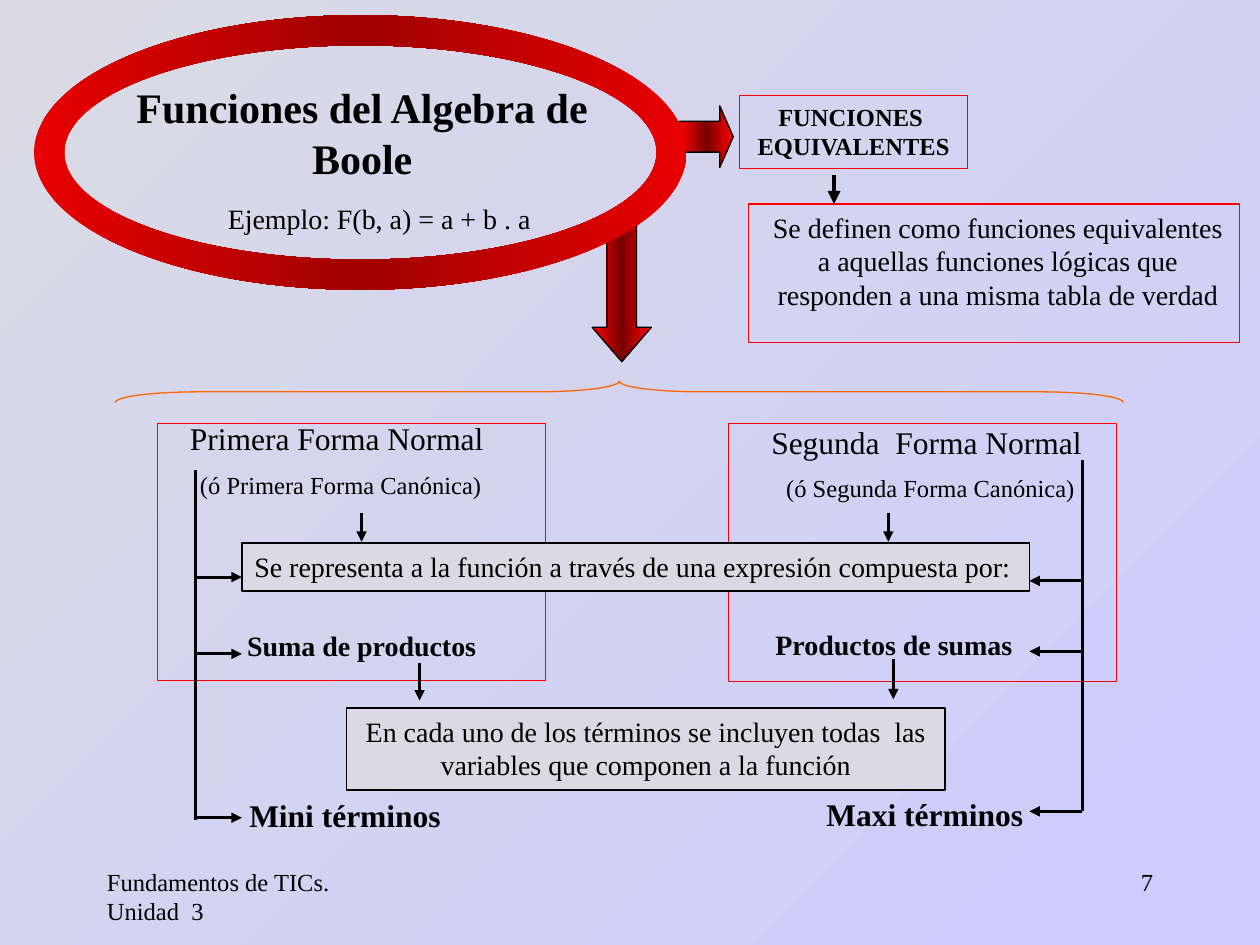
from copy import deepcopy
from pptx import Presentation
from pptx.dml.color import RGBColor
from pptx.enum.shapes import MSO_CONNECTOR, MSO_SHAPE
from pptx.enum.text import MSO_ANCHOR, PP_ALIGN
from pptx.oxml.ns import qn
from pptx.oxml.xmlchemy import OxmlElement
from pptx.util import Inches, Pt

RED, BLACK, GREY, ORANGE = "FF0000", "000000", "DBDAE4", "FF6600"
SHINE = [RED, "760000", RED]


def color(text):
    return RGBColor.from_string(text)


def blend(fill, root, tones, angle):
    fill.gradient()
    fill.gradient_angle = angle
    stops = root.find(".//" + qn("a:gsLst"))
    while len(stops) < len(tones):
        stops.append(deepcopy(stops[0]))
    for i, (stop, tone) in enumerate(zip(fill.gradient_stops, tones)):
        stop.color.rgb = color(tone)
        stop.position = i / (len(tones) - 1)


def write(frame, text, size=16, bold=False, align=PP_ALIGN.CENTER, sizes=()):
    frame.word_wrap = True
    frame.vertical_anchor = MSO_ANCHOR.TOP
    for i, line in enumerate(text.split("\n")):
        para = frame.add_paragraph() if i else frame.paragraphs[0]
        para.alignment = align
        if i:
            para.space_before = Pt(7)
        run = para.add_run()
        run.text = line
        font = run.font
        font.name = "Times New Roman"
        font.size = Pt(sizes[i] if sizes else size)
        font.bold = bold
        font.color.rgb = color(BLACK)


class Board:
    def __init__(self, deck):
        self.slide = deck.slides.add_slide(deck.slide_layouts[6])
        self.shapes = self.slide.shapes
        blend(self.slide.background.fill, self.slide.element, [GREY, "CCCCFF"], 315)

    def text(self, box, text, **style):
        item = self.shapes.add_textbox(*map(Inches, box))
        write(item.text_frame, text, **style)

    def shape(self, kind, box, line=RED, fill=None, adjust=(), turn=0):
        item = self.shapes.add_shape(kind, *map(Inches, box))
        item.rotation = turn
        item.shadow.inherit = False
        for i, value in enumerate(adjust):
            item.adjustments[i] = value
        if fill:
            item.fill.solid()
            item.fill.fore_color.rgb = color(fill)
        else:
            item.fill.background()
        if line:
            item.line.color.rgb = color(line)
            item.line.width = Pt(0.75)
        else:
            item.line.fill.background()
        return item

    def panel(self, box, text="", line=RED, fill=None, **style):
        item = self.shape(MSO_SHAPE.RECTANGLE, box, line, fill)
        if text:
            write(item.text_frame, text, **style)

    def block(self, box, point, angle=0, turn=0):
        item = self.shape(MSO_SHAPE.DOWN_ARROW, box, BLACK, adjust=(0.5, point), turn=turn)
        blend(item.fill, item.element, SHINE, angle)

    def ring(self, box, width):
        item = self.shape(MSO_SHAPE.DONUT, box, None, adjust=(width,))
        blend(item.fill, item.element, ["E80000", "A00000", "E80000"], 0)

    def line(self, start, end, width=1.75, head=True):
        item = self.shapes.add_connector(
            MSO_CONNECTOR.STRAIGHT, *map(Inches, start + end))
        item.line.color.rgb = color(BLACK)
        item.line.width = Pt(width)
        if head:
            tip = OxmlElement("a:tailEnd")
            tip.set("type", "triangle")
            item.element.spPr.find(qn("a:ln")).append(tip)
        item.element.spPr.append(OxmlElement("a:effectLst"))


def main():
    deck = Presentation()
    deck.slide_width, deck.slide_height = Inches(10), Inches(7.5)
    board = Board(deck)
    left, right = PP_ALIGN.LEFT, PP_ALIGN.RIGHT

    board.text((0.75, 6.83, 2.08, 0.5), "Fundamentos de TICs.  Unidad  3", size=14, align=left)
    board.text((7.17, 6.83, 2.08, 0.5), "7", size=14, align=right)

    board.block((4.7, 1.78, 0.47, 1.09), 0.58)
    board.block((5.36, 0.87, 0.49, 0.43), 0.25, angle=90, turn=270)
    board.panel((5.87, 0.76, 1.81, 0.58), "FUNCIONES  EQUIVALENTES", size=14, bold=True)
    board.text((1.71, 1.55, 2.63, 0.37), "Ejemplo: F(b, a) = a + b . a", align=left)
    board.text((0.59, 0.6, 4.57, 0.9), "Funciones del Algebra de Boole", size=24, bold=True)
    board.ring((0.27, 0.12, 5.18, 2.18), 0.11)

    board.shape(MSO_SHAPE.LEFT_BRACE, (4.83, -0.89, 0.17, 8), ORANGE,
                adjust=(3.88, 0.5), turn=90)
    board.text((6.34, 6.26, 2, 0.4), "Maxi términos", size=18, bold=True)
    board.text((5.76, 3.31, 3.25, 0.75),
               "Segunda  Forma Normal \n(ó Segunda Forma Canónica)", sizes=(18, 14))
    board.text((5.93, 4.93, 2.33, 0.37), "Productos de sumas", bold=True)
    board.panel((5.78, 3.36, 3.08, 2.05))
    board.panel((1.25, 3.36, 3.08, 2.04))
    board.text((1.88, 6.27, 2.25, 0.4), "Mini términos", size=18, bold=True, align=left)
    board.text((1.08, 3.28, 3.25, 0.75),
               "Primera Forma Normal \n(ó Primera Forma Canónica)", sizes=(18, 14))
    board.panel((2.75, 5.62, 4.75, 0.65),
                "En cada uno de los términos se incluyen todas  las "
                "variables que componen a la función", BLACK, GREY)
    board.text((1.83, 4.94, 2.08, 0.37), "Suma de productos", bold=True)

    sides = (
        (8.59, 8.17, ((3.65, 5.17), (4.93, 6.44)), (4.61, 5.17, 6.44)),
        (1.55, 1.92, ((3.73, 5.19), (4.96, 6.51)), (4.58, 5.19, 6.49)),
    )
    for x, tip, stems, rows in sides:
        for top, end in stems:
            board.line((x, top), (x, end), head=False)
        for y in rows:
            board.line((x, y), (tip, y))

    board.panel((5.94, 1.62, 3.9, 1.1))
    board.text((5.99, 1.62, 3.86, 0.9),
               "Se definen como funciones equivalentes a aquellas funciones "
               "lógicas que responden a una misma tabla de verdad")
    board.line((6.62, 1.39), (6.62, 1.62), width=2.5)
    board.panel((1.92, 4.31, 6.25, 0.38),
                "Se representa a la función a través de una expresión compuesta por:",
                BLACK, GREY, align=left)
    for x, top, end in ((2.87, 4.07, 4.3), (7.05, 4.07, 4.3),
                        (3.33, 5.26, 5.56), (7.09, 5.23, 5.55)):
        board.line((x, top), (x, end))

    deck.save("out.pptx")


if __name__ == "__main__":
    main()
